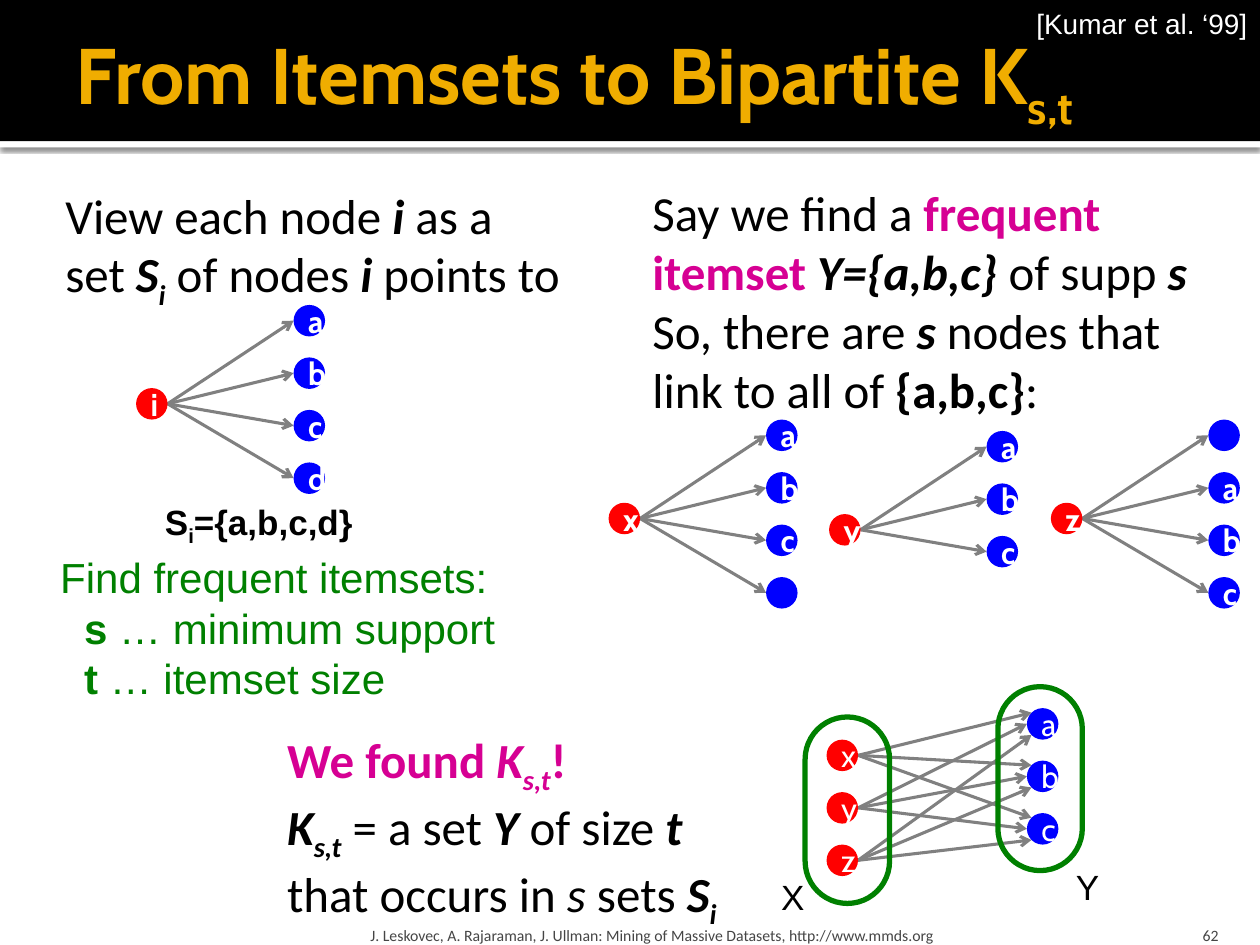
import math

import lxml.etree
import pptx
import pptx.dml.color
import pptx.enum.shapes
import pptx.enum.text
import pptx.oxml
import pptx.oxml.ns
import pptx.util

Inches = pptx.util.Inches
Pt = pptx.util.Pt
SHAPE = pptx.enum.shapes.MSO_SHAPE
ALIGN = pptx.enum.text.PP_ALIGN
ANCHOR = pptx.enum.text.MSO_ANCHOR
AUTO_SIZE = pptx.enum.text.MSO_AUTO_SIZE

NODE = 0.25
PITCH = 5 / 12
RED, BLUE, GREEN, PINK = "FF0000", "0000FF", "008000", "D60093"
BLACK, WHITE, GREY, GOLD, FOOTER = "000000", "FFFFFF", "808080", "F0AD00", "454545"

BOLD = {"bold": True}
ITALIC = {"italic": True}
STRONG = {"bold": True, "italic": True}
STRONG_SUB = {**STRONG, "baseline": -25}
BREAK = ("\n", {})


def rgb(value):
    """Turn a hex string into a colour."""
    return pptx.dml.color.RGBColor.from_string(value)


def format_run(run, style):
    """Apply a dict of format values to a run."""
    for key, value in style.items():
        if key == "color":
            run.font.color.rgb = rgb(value)
        elif key == "baseline":
            run._r.get_or_add_rPr().set("baseline", str(value * 1000))
        else:
            setattr(run.font, key, value)


def fill_paragraph(paragraph, runs, base):
    """Write styled runs into a paragraph."""
    for text, style in runs:
        if text == "\n":
            paragraph.add_line_break()
        else:
            run = paragraph.add_run()
            run.text = text
            format_run(run, {**base, **style})


def add_text(shapes, box, paragraphs, base, align=ALIGN.LEFT, **frame_format):
    """Add a text box holding paragraphs of styled runs."""
    frame = shapes.add_textbox(*map(Inches, box)).text_frame
    settings = {"word_wrap": False, "auto_size": AUTO_SIZE.SHAPE_TO_FIT_TEXT, **frame_format}
    for key, value in settings.items():
        setattr(frame, key, value)
    for index, runs in enumerate(paragraphs):
        paragraph = frame.add_paragraph() if index else frame.paragraphs[0]
        paragraph.alignment = align
        fill_paragraph(paragraph, runs, base)
    return frame


def add_shape(shapes, kind, box, fill=None, line=None, width=3):
    """Add a preset shape with plain fill and outline."""
    shape = shapes.add_shape(kind, *map(Inches, box))
    shape.shadow.inherit = False
    if fill:
        shape.fill.solid()
        shape.fill.fore_color.rgb = rgb(fill)
    else:
        shape.fill.background()
    if line:
        shape.line.color.rgb = rgb(line)
        shape.line.width = Pt(width)
    else:
        shape.line.fill.background()
    return shape


def add_node(shapes, left, top, letter, fill, bold):
    """Add one graph node with its letter."""
    node = add_shape(shapes, SHAPE.OVAL, (left, top, NODE, NODE), fill)
    if letter.strip():
        frame = node.text_frame
        frame.vertical_anchor = ANCHOR.MIDDLE
        frame.paragraphs[0].alignment = ALIGN.CENTER
        style = {"size": Pt(18), "name": "Cabin", "color": WHITE, "bold": bold}
        fill_paragraph(frame.paragraphs[0], [(letter, {})], style)


def add_arrow(shapes, start, end):
    """Add a grey arrow between two points."""
    arrow = shapes.add_connector(
        pptx.enum.shapes.MSO_CONNECTOR.STRAIGHT, *map(Inches, (*start, *end)))
    arrow.line.color.rgb = rgb(GREY)
    arrow.line.width = Pt(1.75)
    line = arrow.line._get_or_add_ln()
    lxml.etree.SubElement(line, pptx.oxml.ns.qn("a:tailEnd"), type="arrow")
    lxml.etree.SubElement(arrow._element.spPr, pptx.oxml.ns.qn("a:effectLst"))


def add_fan(slide, left, top, source, targets):
    """Draw a source node pointing to a column of target nodes."""
    shapes = slide.shapes.add_group_shape().shapes
    source_top, target_left = top + 0.66, left + 1.25
    tops = [top + PITCH * index for index in range(len(targets))]
    for target_top in tops:
        add_arrow(shapes, (left + NODE, source_top + NODE / 2),
                  (target_left, target_top + NODE / 2))
    add_node(shapes, left, source_top, source, RED, True)
    for letter, target_top in zip(targets, tops):
        add_node(shapes, target_left, target_top, letter, BLUE, True)


def add_bipartite(slide, left, top, sources, targets):
    """Draw the complete bipartite graph with its two rings and labels."""
    shapes = slide.shapes.add_group_shape().shapes
    source_top, target_left, radius = top + 0.25, left + 1.59, NODE / 2
    for row in range(len(sources)):
        angle = math.radians(45 * (row - 1))
        for column in range(len(targets)):
            add_arrow(
                shapes,
                (left + NODE, source_top + PITCH * row + radius),
                (target_left + radius * (1 - math.cos(angle)),
                 top + PITCH * column + radius * (1 + math.sin(angle))))
    for letters, x, y, fill in ((sources, left, source_top, RED),
                                (targets, target_left, top, BLUE)):
        for index, letter in enumerate(letters):
            add_node(shapes, x, y + PITCH * index, letter, fill, False)
    for x, y, height in ((-0.17, 0.07, 1.48), (1.36, -0.17, 1.46)):
        ring = add_shape(slide.shapes, SHAPE.ROUNDED_RECTANGLE,
                         (left + x, top + y, 0.67, height), line=GREEN)
        ring.adjustments[0] = 0.5
    label = {"size": Pt(20), "name": "Arial", "color": BLACK}
    for letter, x, y in (("X", -0.46, 1.28), ("Y", 1.88, 1.2)):
        add_text(slide.shapes, (left + x, top + y, 0.39, 0.44), [[(letter, {})]], label)


def add_header(slide, height):
    """Draw the title band, the title and the citation."""
    shapes = slide.shapes
    edge = add_shape(shapes, SHAPE.RECTANGLE, (0, height, 10, 0.05), WHITE)
    effects = edge._element.spPr.find(pptx.oxml.ns.qn("a:effectLst"))
    effects.append(pptx.oxml.parse_xml(
        f'<a:outerShdw {pptx.oxml.ns.nsdecls("a")} blurRad="{Pt(2.5)}" dist="{Pt(0.8)}" '
        'dir="5400000" algn="t" rotWithShape="0"><a:srgbClr val="000000">'
        '<a:alpha val="60000"/></a:srgbClr></a:outerShdw>'))
    add_shape(shapes, SHAPE.RECTANGLE, (0, 0, 10, height), BLACK)
    title = shapes.title
    title.left, title.top, title.width, title.height = map(Inches, (0.5, 0.17, 9, 0.92))
    frame = title.text_frame
    for key, value in {"margin_left": Inches(0.1), "margin_right": Inches(0.05),
                       "vertical_anchor": ANCHOR.MIDDLE, "auto_size": AUTO_SIZE.NONE}.items():
        setattr(frame, key, value)
    frame.paragraphs[0].alignment = ALIGN.LEFT
    fill_paragraph(frame.paragraphs[0],
                   [("From Itemsets to Bipartite K", {}), ("s,t", {"baseline": -25})],
                   {"size": Pt(45), "name": "Cabin", "color": GOLD, "bold": True})
    shapes._spTree.append(title._element)
    add_text(shapes, (8.1, 0, 1.9, 0.37), [[("[Kumar et al. ‘99]", {})]],
             {"size": Pt(16), "name": "Arial", "color": WHITE}, ALIGN.RIGHT)


def add_statements(slide):
    """Write the statements around the graphs."""
    shapes = slide.shapes
    body = {"size": Pt(28), "name": "Calibri", "color": BLACK}
    add_text(shapes, (1.21, 3.92, 1.71, 0.44),
             [[("S", {}), ("i", {"baseline": -25}), ("={a,b,c,d}", {})]],
             {"size": Pt(20), "name": "Arial", "color": BLACK, "bold": True})
    search = add_text(shapes, (0.38, 4.33, 3.66, 1.31), [
        [("Find frequent itemsets:", {})],
        [("s", BOLD), (" … minimum support", {})],
        [("t", BOLD), (" … itemset size", {})],
    ], {"size": Pt(24), "name": "Arial", "color": GREEN})
    for index, paragraph in enumerate(search.paragraphs):
        paragraph.line_spacing = Pt(28.8)
        paragraph._p.get_or_add_pPr().set("marL", str(Inches(0.19 if index else 0)))
    add_text(shapes, (2.18, 5.74, 3.65, 1.51), [
        [("We found ", {**BOLD, "color": PINK}), ("K", {**STRONG, "color": PINK}),
         ("s,t", {**STRONG_SUB, "color": PINK}), ("!", {**BOLD, "color": PINK})],
        [("K", STRONG), ("s,t", STRONG_SUB), (" = a set ", {}), ("Y", STRONG),
         (" of size ", {}), ("t", STRONG), BREAK, ("that occurs in ", {}), ("s", ITALIC),
         (" sets ", {}), ("S", STRONG), ("i", STRONG_SUB)],
    ], body)
    add_text(shapes, (0.42, 1.42, 4.16, 1.04), [
        [("View each node ", {}), ("i", STRONG), (" as a", {}), BREAK, ("set ", {}),
         ("S", STRONG), ("i", STRONG_SUB), (" of nodes ", {}), ("i", STRONG),
         (" points to", {})]], body)
    add_text(shapes, (5.08, 1.4, 4.76, 1.99), [
        [("Say we find a ", {}), ("frequent itemset ", {**BOLD, "color": PINK}),
         ("Y={a,b,c}", STRONG), (" of supp ", {}), ("s", STRONG), BREAK,
         ("So, there are ", {}), ("s", STRONG), (" nodes that link to all of ", {}),
         ("{a,b,c}", BOLD), (":", {})]], body, word_wrap=True)


def add_footer(slide, top):
    """Write the source line and the slide number."""
    for text, left, width, margin, align in (
            ("J. Leskovec, A. Rajaraman, J. Ullman: Mining of Massive Datasets, "
             "http://www.mmds.org", 2.89, 6.02, 0.05, ALIGN.LEFT),
            ("62", 8.97, 0.8, 0.1, ALIGN.RIGHT)):
        add_text(slide.shapes, (left, top, width, 0.3), [[(text, {})]],
                 {"size": Pt(9), "name": "Calibri", "color": FOOTER}, align,
                 word_wrap=True, auto_size=AUTO_SIZE.NONE, vertical_anchor=ANCHOR.BOTTOM,
                 margin_left=Inches(margin), margin_right=Inches(margin), margin_bottom=0)


def main():
    """Build the slide and save it."""
    presentation = pptx.Presentation()
    presentation.slide_width, presentation.slide_height = Inches(10), Inches(7.5)
    slide = presentation.slides.add_slide(presentation.slide_layouts[5])
    add_header(slide, 1.12)
    add_bipartite(slide, 6.56, 5.62, "xyz", "abc")
    add_statements(slide)
    for fan in ((1.08, 2.42, "i", "abcd"), (4.83, 3.33, "x", "abc "),
                (6.58, 3.42, "y", "abc"), (8.34, 3.33, "z", " abc")):
        add_fan(slide, *fan)
    add_footer(slide, 7.2)
    presentation.save("out.pptx")


if __name__ == "__main__":
    main()
